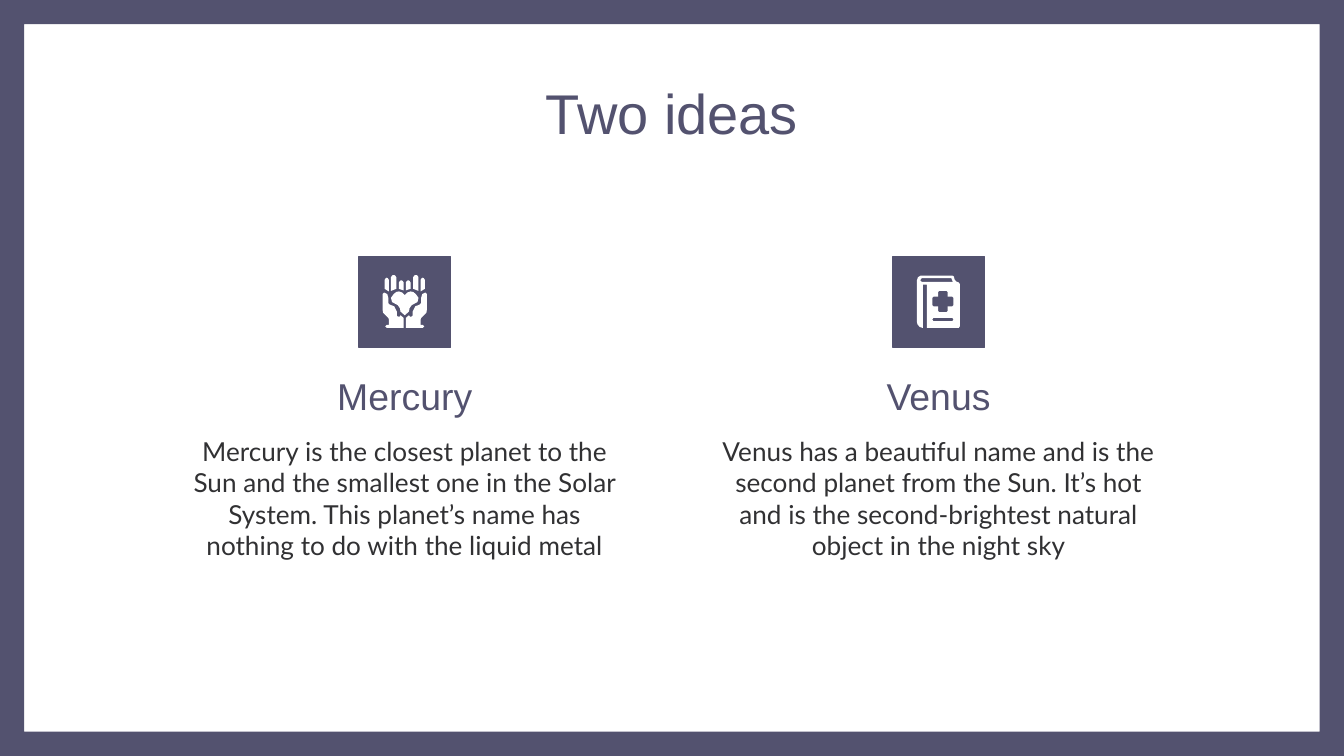
from dataclasses import dataclass
from typing import Callable

from pptx import Presentation
from pptx.dml.color import RGBColor
from pptx.enum.shapes import MSO_SHAPE as Shape
from pptx.enum.text import MSO_ANCHOR as Anchor, MSO_AUTO_SIZE as AutoSize, PP_ALIGN as Align
from pptx.util import Cm, Pt

PURPLE = RGBColor(0x53, 0x52, 0x6F)
DARK = RGBColor(0x31, 0x31, 0x33)
WHITE = RGBColor(0xFF, 0xFF, 0xFF)

WIDTH, HEIGHT = 25.4, 14.29
COLUMN_WIDTH = 8.69
TILE_SIZE, TILE_CENTER_Y = 1.73, 5.71

Points = list[tuple[int, int]]


@dataclass
class Finger:
    left: int
    right: int
    top: int
    outer_bottom: int
    inner_bottom: int

    def outline(self) -> Points:
        return [(self.left, self.top + 4), (self.left + 2, self.top + 1),
                (self.left + 4, self.top), (self.right - 4, self.top),
                (self.right - 2, self.top + 1), (self.right, self.top + 4),
                (self.right, self.inner_bottom), (self.left, self.outer_bottom)]


@dataclass
class Idea:
    name: str
    text: str
    center: float
    draw_icon: Callable


# Icon outlines, in hundredths of a centimetre from the tile centre
FINGERS = [
    Finger(-38, -30, -46, -25, -20),
    Finger(-26, -16, -51, -21, -25),
    Finger(-11, -2, -41, -25, -22),
]
PALM = [(-39, -18), (-42, -15), (-42, 13), (-41, 20), (-36, 25), (-31, 30),
        (-30, 33), (-30, 43), (-34, 43), (-37, 46), (-34, 49), (-2, 49),
        (-2, 30), (-8, 25), (-10, 28), (-14, 27), (-15, 25), (-15, 18),
        (-20, 8), (-28, 5), (-31, 2), (-31, -8), (-33, -15)]
HALF_HEART = [(0, 25), (-8, 18), (-9, 12), (-13, 6), (-24, 0), (-26, -8),
              (-21, -15), (-16, -19), (-11, -20), (-5, -18), (0, -13)]
BOOK = [(-34, -50), (26, -50), (29, -48), (30, -43), (33, -39), (38, -37),
        (40, -34), (40, 46), (38, 49), (-22, 49), (-22, -33), (-30, -33),
        (-30, 49), (-36, 47), (-40, 42), (-41, 38), (-41, -41), (-39, -47)]
BOOK_EDGE = [(24, -45), (27, -38), (-32, -38), (-35, -41), (-32, -45)]
BOOK_BAR = [(-10, 30), (26, 30), (28, 33), (26, 36), (-10, 36), (-12, 33)]
CROSS_ARM = [(-9, -9), (-9, -18), (-7, -20), (7, -20), (9, -18)]


def mirror(points: Points) -> Points:
    return [(-x, y) for x, y in points]


def cross(center_x: int, center_y: int) -> Points:
    arm, points = CROSS_ARM, []
    for _ in range(4):
        points += [(center_x + x, center_y + y) for x, y in arm]
        arm = [(-y, x) for x, y in arm]
    return points


def paint(sp, color: RGBColor) -> None:
    sp.shadow.inherit = False
    sp.fill.solid()
    sp.fill.fore_color.rgb = color
    sp.line.fill.background()


def add_outline(s, center: float, *contours: Points) -> None:
    """Draw one white shape; contours after the first are holes."""
    first, *holes = contours
    builder = s.shapes.build_freeform(*first[0], scale=Cm(0.01))
    builder.add_line_segments(first[1:])
    for hole in holes:
        builder.move_to(*hole[0])
        builder.add_line_segments(hole[1:])
    paint(builder.convert_to_shape(Cm(center), Cm(TILE_CENTER_Y)), WHITE)


def draw_hands(s, center: float) -> None:
    for half in [finger.outline() for finger in FINGERS] + [PALM]:
        add_outline(s, center, half)
        add_outline(s, center, mirror(half))
    add_outline(s, center, HALF_HEART + mirror(HALF_HEART)[-2:0:-1])


def draw_book(s, center: float) -> None:
    add_outline(s, center, BOOK, BOOK_EDGE, cross(8, -1), BOOK_BAR)


def write(sp, text: str, size: int, font: str, color: RGBColor, anchor=Anchor.TOP) -> None:
    tf = sp.text_frame
    tf.word_wrap = True
    tf.auto_size = AutoSize.NONE
    tf.vertical_anchor = anchor
    tf.margin_left = tf.margin_right = tf.margin_top = tf.margin_bottom = Cm(0.25)
    p = tf.paragraphs[0]
    p.text = text
    p.alignment = Align.CENTER
    p.font.size, p.font.name, p.font.color.rgb = Pt(size), font, color


def add_idea(s, idea: Idea) -> None:
    left = Cm(idea.center - COLUMN_WIDTH / 2)
    body = s.shapes.add_textbox(left, Cm(7.98), Cm(COLUMN_WIDTH), Cm(2.64))
    write(body, idea.text, 14, "Lato", DARK)
    name = s.shapes.add_textbox(left, Cm(6.96), Cm(COLUMN_WIDTH), Cm(1.19))
    write(name, idea.name, 20, "Arial", PURPLE, Anchor.BOTTOM)

    tile = s.shapes.add_shape(
        Shape.RECTANGLE, Cm(idea.center - TILE_SIZE / 2),
        Cm(TILE_CENTER_Y - TILE_SIZE / 2), Cm(TILE_SIZE), Cm(TILE_SIZE))
    paint(tile, PURPLE)
    tile.line.color.rgb = PURPLE
    tile.line.width = Pt(0.75)
    idea.draw_icon(s, idea.center)


IDEAS = [
    Idea("Mercury",
         "Mercury is the closest planet to the Sun and the smallest one in the "
         "Solar System. This planet’s name has nothing to do with the liquid metal",
         7.65, draw_hands),
    Idea("Venus",
         "Venus has a beautiful name and is the second planet from the Sun. It’s "
         "hot and is the second-brightest natural object in the night sky",
         17.74, draw_book),
]


def main() -> None:
    prs = Presentation()
    prs.slide_width, prs.slide_height = Cm(WIDTH), Cm(HEIGHT)
    s = prs.slides.add_slide(prs.slide_layouts[5])

    # Title
    title = s.shapes.title
    title.left, title.top, title.width, title.height = Cm(2), Cm(1.24), Cm(21.4), Cm(1.6)
    write(title, "Two ideas", 30, "Arial", PURPLE)

    # Border, behind everything else
    frame = s.shapes.add_shape(Shape.FRAME, 0, 0, Cm(WIDTH), Cm(HEIGHT))
    frame.adjustments[0] = 0.032
    paint(frame, PURPLE)
    title.element.addprevious(frame.element)

    # Idea columns
    for idea in IDEAS:
        add_idea(s, idea)

    prs.save("out.pptx")


if __name__ == "__main__":
    main()
